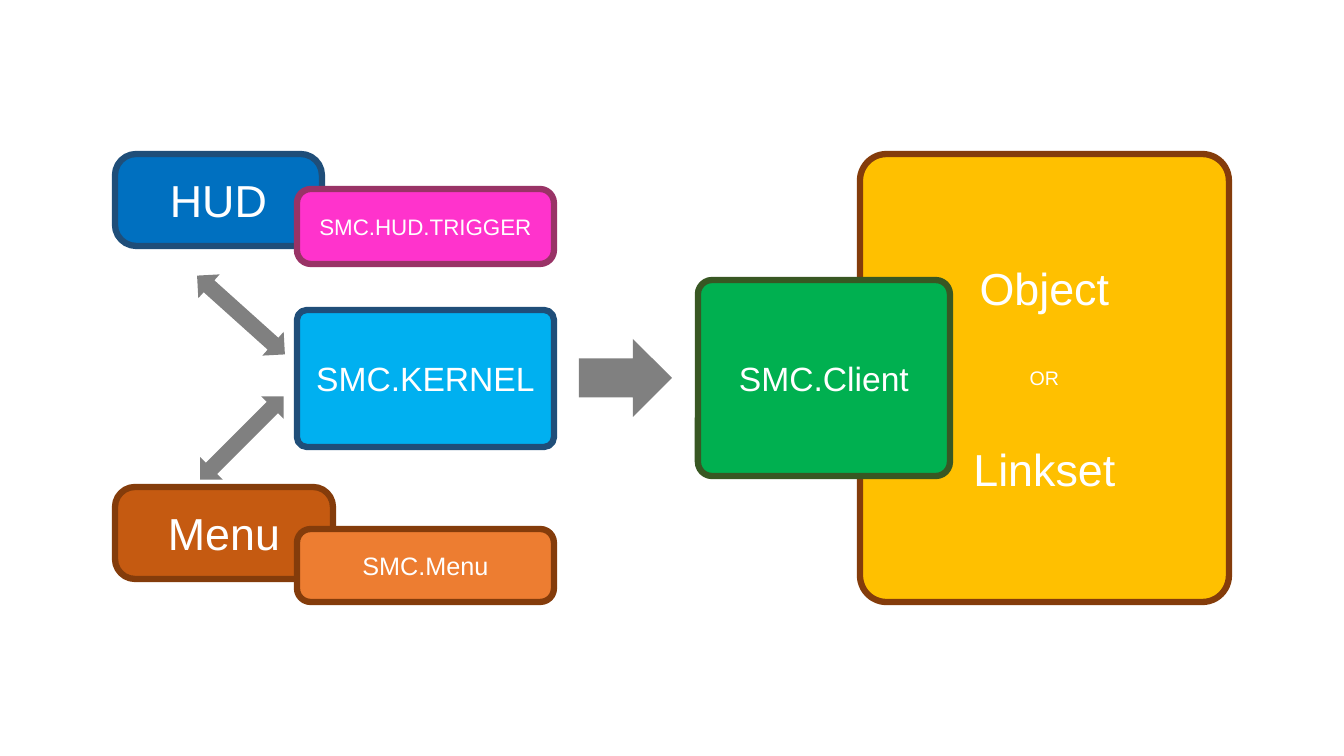
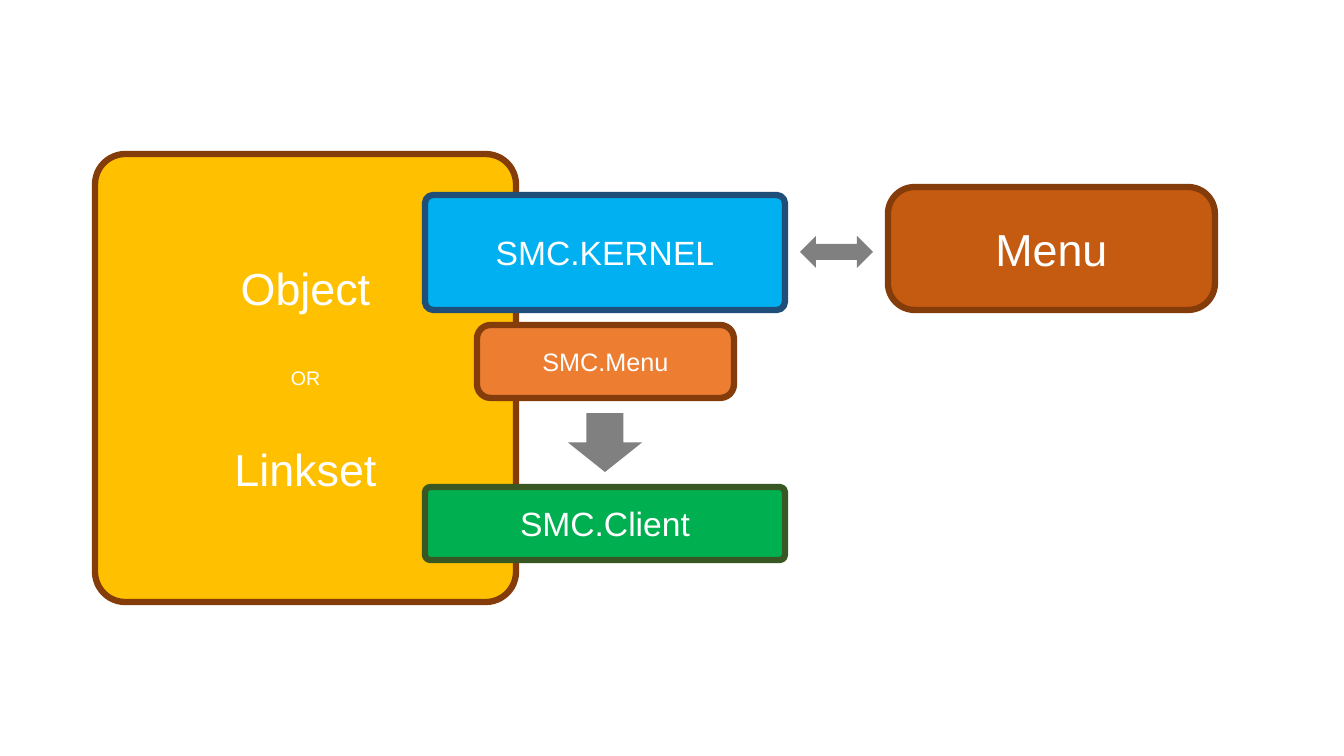
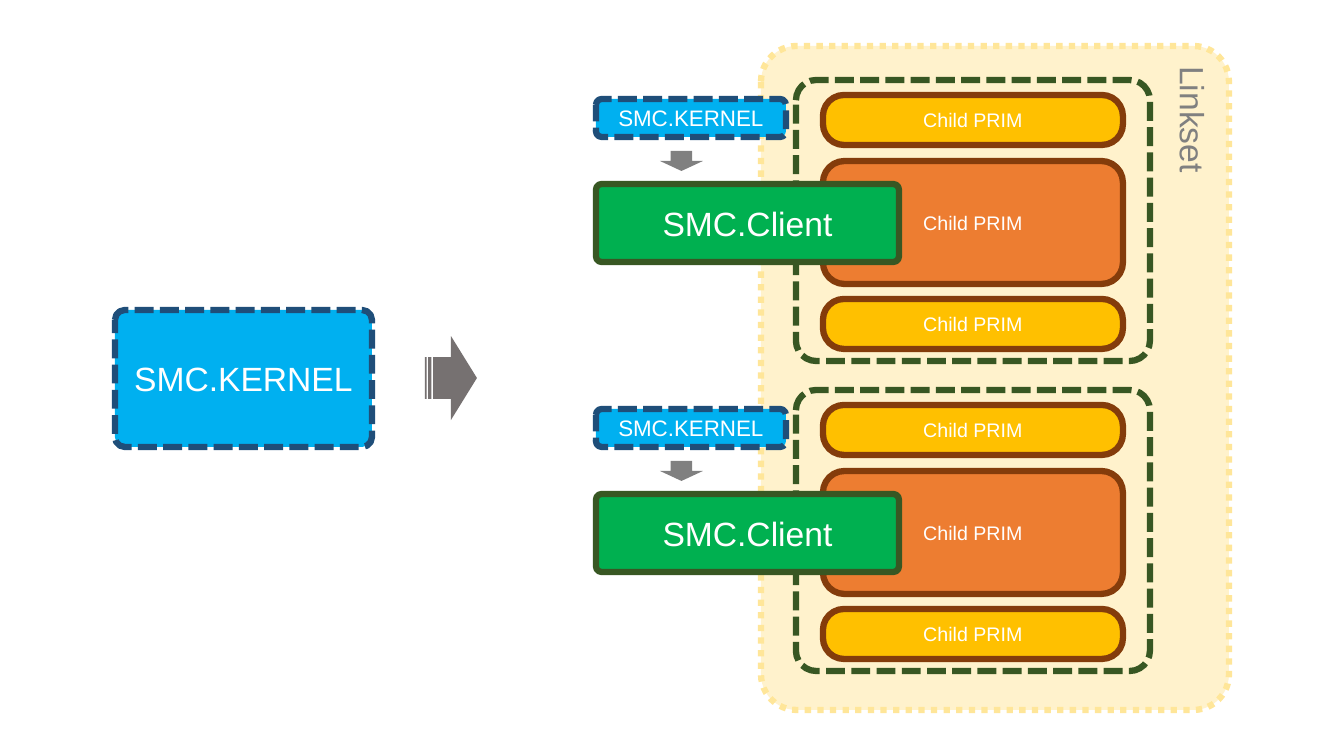
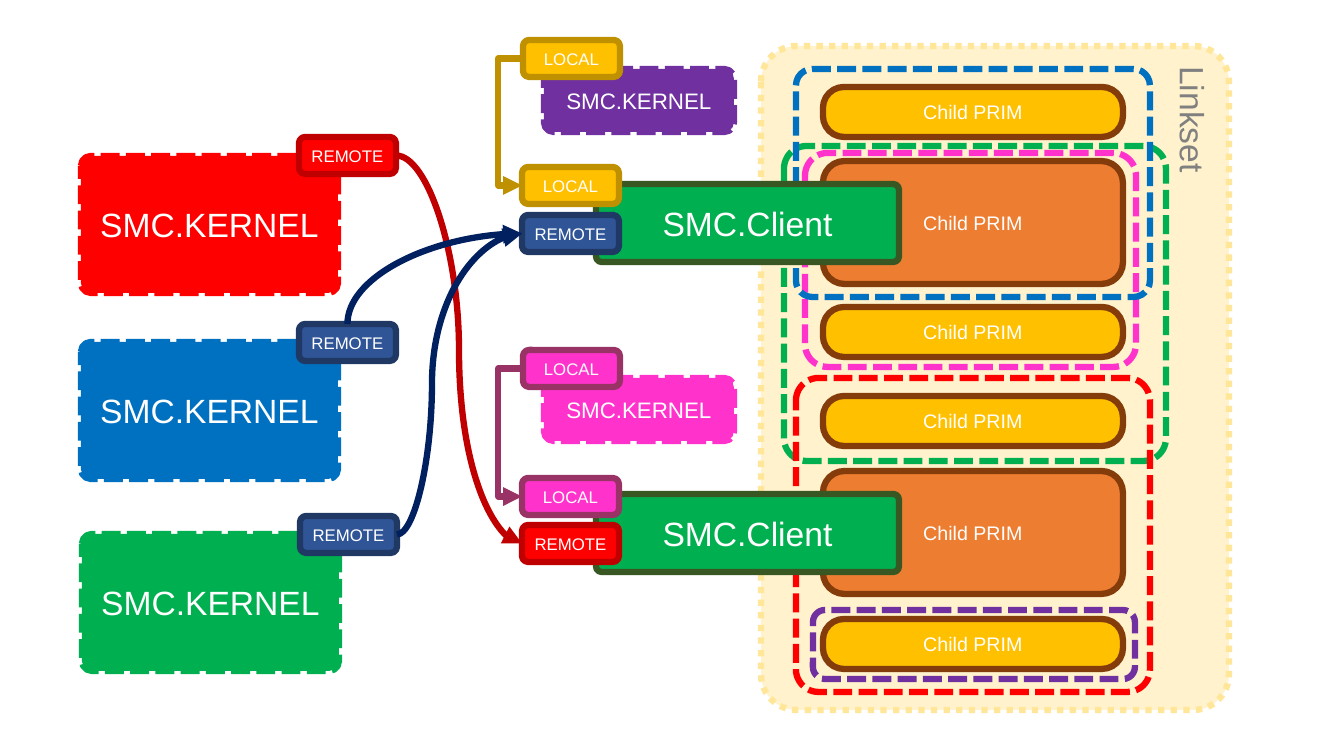
"""Build four diagrams of how SMC kernels drive clients, objects and linksets."""
from dataclasses import dataclass

from lxml import etree
from pptx import Presentation, util as u
from pptx.dml import color
from pptx.enum import dml, shapes, text
from pptx.oxml import ns

Area = tuple[int, int, int, int]
PIXEL = 914400 / 100.8
CLUSTER_STEP = 310
TAG_SIZE = (97, 37)


@dataclass(frozen=True)
class Theme:
    """Colours, type sizes and strokes shared by every slide."""
    font: str = "Arial"
    white: str = "FFFFFF"
    grey: str = "808080"
    dark_grey: str = "767171"
    amber: str = "FFC000"
    gold: str = "BF9000"
    cream: str = "FFF2CC"
    sand: str = "FFE699"
    rust: str = "843C0B"
    brown: str = "C55A11"
    orange: str = "ED7D31"
    sky: str = "00B0F0"
    blue: str = "0070C0"
    steel: str = "1F4E79"
    denim: str = "2F5597"
    navy: str = "203864"
    midnight: str = "002060"
    green: str = "00B050"
    forest: str = "385723"
    pink: str = "FF33CC"
    plum: str = "993366"
    purple: str = "7030A0"
    red: str = "FF0000"
    crimson: str = "C00000"
    heading: int = 32
    script: int = 24
    module: int = 18
    label: int = 16
    prim: int = 14
    tag: int = 12
    stroke: float = 4.5
    line_gap: int = 37


T = Theme()
DASHED = dml.MSO_LINE.SQUARE_DOT
DOTTED = dml.MSO_LINE.ROUND_DOT


@dataclass(frozen=True)
class Look:
    """Fill, outline and type size of a rounded box."""
    fill: str | None
    edge: str
    size: int = T.script
    corner: float = 0.072
    dash: dml.MSO_LINE | None = None
    ink: str = T.white


@dataclass(frozen=True)
class Node:
    """A rounded box with its label."""
    area: Area
    label: str
    look: Look


@dataclass(frozen=True)
class Arrow:
    """A block arrow."""
    kind: shapes.MSO_SHAPE
    area: Area
    turn: float = 0
    fill: str = T.grey


@dataclass(frozen=True)
class Link:
    """A connector between connection sites of two tags."""
    kind: shapes.MSO_CONNECTOR
    start: tuple[str, int]
    finish: tuple[str, int]
    ink: str
    bend: float = 0.5
    preset: str | None = None
    arrow_end: str = "tailEnd"


OBJECT = Look(T.amber, T.rust, T.heading)
KERNEL = Look(T.sky, T.steel)
CLIENT = Look(T.green, T.forest)
HUD = Look(T.blue, T.steel, T.heading, 0.231)
MENU = Look(T.brown, T.rust, T.heading, 0.217)
MENU_SCRIPT = Look(T.orange, T.rust, T.module, 0.186)
TRIGGER = Look(T.pink, T.plum, T.label, 0.186)
LINKSET = Look(T.cream, T.sand, T.script, 0.076, DOTTED, T.grey)
MAIN_PRIM = Look(T.orange, T.rust, T.prim, 0.175)
SIDE_PRIM = Look(T.amber, T.rust, T.prim, 0.42)
DASHED_KERNEL = Look(T.sky, T.steel, dash=DASHED)
SMALL_KERNEL = Look(T.sky, T.steel, T.label, 0.154, DASHED)


def tag_look(fill: str, edge: str) -> Look:
    """Return the look of a LOCAL or REMOTE tag."""
    return Look(fill, edge, T.tag, 0.167)


AMBER_TAG = tag_look(T.amber, T.gold)
PINK_TAG = tag_look(T.pink, T.plum)
RED_TAG = tag_look(T.red, T.crimson)
BLUE_TAG = tag_look(T.denim, T.navy)


def px(value: float) -> int:
    """Turn pixels into EMU."""
    return u.Emu(round(value * PIXEL))


def rgb(value: str) -> color.RGBColor:
    """Turn a hex string into a colour."""
    return color.RGBColor.from_string(value)


def apply(target, values: dict) -> None:
    """Set each named attribute on the target."""
    for key, value in values.items():
        setattr(target, key, value)


def add_shape(page, kind: shapes.MSO_SHAPE, area: Area, fill: str | None):
    """Add a flat preset shape."""
    shape = page.shapes.add_shape(kind, *map(px, area))
    shape.shadow.inherit = False
    if fill:
        shape.fill.solid()
        shape.fill.fore_color.rgb = rgb(fill)
    else:
        shape.fill.background()
    return shape


def add_para(frame, index: int, wording: str, values: dict, ink: str):
    """Write one centred paragraph and return it."""
    para = frame.add_paragraph() if index else frame.paragraphs[0]
    para.alignment = text.PP_ALIGN.CENTER
    span = para.add_run()
    span.text = wording
    apply(span.font, {"name": T.font, **values})
    span.font.color.rgb = rgb(ink)
    return para


def draw_node(page, node: Node):
    """Draw a rounded box and its label."""
    look = node.look
    box = add_shape(page, shapes.MSO_SHAPE.ROUNDED_RECTANGLE, node.area, look.fill)
    box.adjustments[0] = look.corner
    box.line.color.rgb = rgb(look.edge)
    apply(box.line, {"width": u.Pt(T.stroke), "dash_style": look.dash})
    if node.label:
        add_para(box.text_frame, 0, node.label, {"size": u.Pt(look.size)}, look.ink)
    return box


def draw_object(page, area: Area) -> None:
    """Draw the object-or-linkset panel."""
    box = draw_node(page, Node(area, "", OBJECT))
    lines = (("Object", T.heading, 0), ("OR", T.prim, T.line_gap),
             ("Linkset", T.heading, T.line_gap))
    for index, (wording, size, gap) in enumerate(lines):
        para = add_para(box.text_frame, index, wording, {"size": u.Pt(size)}, T.white)
        para.space_before = u.Pt(gap)


def draw_arrow(page, arrow: Arrow) -> None:
    """Draw a block arrow without outline."""
    shape = add_shape(page, arrow.kind, arrow.area, arrow.fill)
    shape.line.fill.background()
    shape.rotation = arrow.turn


def draw_link(page, link: Link, tags: dict) -> None:
    """Join two tags with an arrow-headed connector."""
    line = page.shapes.add_connector(link.kind, 0, 0, 0, 0)
    line.begin_connect(tags[link.start[0]], link.start[1])
    line.end_connect(tags[link.finish[0]], link.finish[1])
    line.line.color.rgb = rgb(link.ink)
    line.line.width = u.Pt(T.stroke)
    properties = line._element.spPr
    geometry = properties.find(ns.qn("a:prstGeom"))
    if link.preset:
        geometry.set("prst", link.preset)
    elif link.bend != 0.5:
        guide = etree.SubElement(geometry.find(ns.qn("a:avLst")), ns.qn("a:gd"))
        guide.set("name", "adj1")
        guide.set("fmla", f"val {round(link.bend * 100000)}")
    end = etree.SubElement(properties.find(ns.qn("a:ln")), ns.qn(f"a:{link.arrow_end}"))
    end.set("type", "triangle")
    etree.SubElement(properties, ns.qn("a:effectLst"))


def draw_linkset(page, frames: list[Node], side_tops: tuple[int, ...]) -> None:
    """Draw a linkset with its frames, child prims and two clients."""
    panel = draw_node(page, Node((761, 46, 468, 664), "Linkset", LINKSET))
    panel.text_frame.vertical_anchor = text.MSO_ANCHOR.TOP
    panel.text_frame._txBody.bodyPr.set("vert", "eaVert")
    for frame in frames:
        draw_node(page, frame)
    for top in side_tops:
        draw_node(page, Node((823, top, 300, 50), "Child PRIM", SIDE_PRIM))
    for shift in (0, CLUSTER_STEP):
        draw_node(page, Node((823, 161 + shift, 300, 123), "Child PRIM", MAIN_PRIM))
        draw_node(page, Node((596, 184 + shift, 303, 78), "SMC.Client", CLIENT))


def build_hud_page(page) -> None:
    """Show the HUD and menu driving a client through the kernel."""
    draw_object(page, (860, 154, 369, 448))
    for node in (
        Node((297, 310, 257, 137), "SMC.KERNEL", KERNEL),
        Node((698, 280, 252, 196), "SMC.Client", CLIENT),
        Node((115, 154, 207, 92), "HUD", HUD),
        Node((115, 487, 218, 92), "Menu", MENU),
        Node((297, 529, 257, 73), "SMC.Menu", MENU_SCRIPT),
        Node((297, 189, 257, 75), "SMC.HUD.TRIGGER", TRIGGER),
    ):
        draw_node(page, node)
    for arrow in (
        Arrow(shapes.MSO_SHAPE.RIGHT_ARROW, (579, 339, 93, 78)),
        Arrow(shapes.MSO_SHAPE.LEFT_RIGHT_ARROW, (182, 299, 118, 32), 41.9),
        Arrow(shapes.MSO_SHAPE.LEFT_RIGHT_ARROW, (183, 422, 118, 32), 315),
    ):
        draw_arrow(page, arrow)


def build_menu_page(page) -> None:
    """Show kernel, menu script and client inside one object."""
    draw_object(page, (95, 154, 421, 448))
    for node in (
        Node((425, 195, 360, 115), "SMC.KERNEL", KERNEL),
        Node((425, 487, 360, 73), "SMC.Client", CLIENT),
        Node((477, 325, 257, 73), "SMC.Menu", MENU_SCRIPT),
        Node((888, 187, 327, 123), "Menu", MENU),
    ):
        draw_node(page, node)
    draw_arrow(page, Arrow(shapes.MSO_SHAPE.DOWN_ARROW, (568, 413, 74, 59)))
    draw_arrow(page, Arrow(shapes.MSO_SHAPE.LEFT_RIGHT_ARROW, (800, 236, 73, 32)))


def build_copies_page(page) -> None:
    """Show one kernel passed on to two clients of a linkset."""
    shifts = (0, CLUSTER_STEP)
    frame = Look(None, T.forest, dash=DASHED)
    frames = [Node((796, 80 + shift, 354, 281), "", frame) for shift in shifts]
    draw_linkset(page, frames, tuple(top + shift for shift in shifts for top in (95, 299)))
    draw_node(page, Node((115, 310, 257, 137), "SMC.KERNEL", DASHED_KERNEL))
    for shift in shifts:
        draw_node(page, Node((596, 99 + shift, 190, 38), "SMC.KERNEL", SMALL_KERNEL))
        draw_arrow(page, Arrow(shapes.MSO_SHAPE.DOWN_ARROW, (660, 151 + shift, 43, 20)))
    draw_arrow(page, Arrow(shapes.MSO_SHAPE.STRIPED_RIGHT_ARROW, (425, 336, 52, 84),
                           fill=T.dark_grey))


def build_scope_page(page) -> None:
    """Show local and remote kernels with the prims each one controls."""
    frames = [
        Node(area, "", Look(None, ink, corner=corner, dash=DASHED))
        for area, ink, corner in (
            ((805, 153, 331, 214), T.pink, 0.106),
            ((813, 610, 322, 69), T.purple, 0.174),
            ((784, 146, 382, 315), T.green, 0.072),
            ((796, 378, 354, 314), T.red, 0.072),
            ((796, 69, 354, 228), T.blue, 0.072),
        )
    ]
    draw_linkset(page, frames, (87, 307, 396, 619))
    for left, top, ink in ((81, 156, T.red), (81, 342, T.blue), (82, 534, T.green)):
        look = Look(ink, ink, dash=DASHED)
        draw_node(page, Node((left, top, 257, 137), "SMC.KERNEL", look))
    for top, ink in ((69, T.purple), (378, T.pink)):
        look = Look(ink, ink, T.label, 0.154, DASHED)
        draw_node(page, Node((544, top, 190, 63), "SMC.KERNEL", look))
    tags = {
        name: draw_node(page, Node((left, top, *TAG_SIZE), label, look))
        for name, left, top, label, look in (
            ("red kernel", 299, 137, "REMOTE", RED_TAG),
            ("blue kernel", 299, 324, "REMOTE", BLUE_TAG),
            ("green kernel", 300, 516, "REMOTE", BLUE_TAG),
            ("purple kernel", 523, 40, "LOCAL", AMBER_TAG),
            ("pink kernel", 523, 350, "LOCAL", PINK_TAG),
            ("upper local", 522, 167, "LOCAL", AMBER_TAG),
            ("upper remote", 522, 215, "REMOTE", BLUE_TAG),
            ("lower local", 522, 478, "LOCAL", PINK_TAG),
            ("lower remote", 522, 525, "REMOTE", RED_TAG),
        )
    }
    top, left, right = 0, 1, 3
    elbow, curve = shapes.MSO_CONNECTOR.ELBOW, shapes.MSO_CONNECTOR.CURVE
    for link in (
        Link(elbow, ("purple kernel", left), ("upper local", left), T.gold, 25),
        Link(elbow, ("pink kernel", left), ("lower local", left), T.plum, 25),
        Link(curve, ("red kernel", right), ("lower remote", left), T.crimson),
        Link(curve, ("upper remote", left), ("blue kernel", top), T.midnight,
             preset="curvedConnector2", arrow_end="headEnd"),
        Link(curve, ("green kernel", right), ("upper remote", left), T.midnight, 0.28),
    ):
        draw_link(page, link, tags)


def main() -> None:
    """Build the deck and save it."""
    deck = Presentation()
    apply(deck, {"slide_width": px(1344), "slide_height": px(756)})
    for build in (build_hud_page, build_menu_page, build_copies_page, build_scope_page):
        build(deck.slides.add_slide(deck.slide_layouts[6]))
    deck.save("out.pptx")


main()
